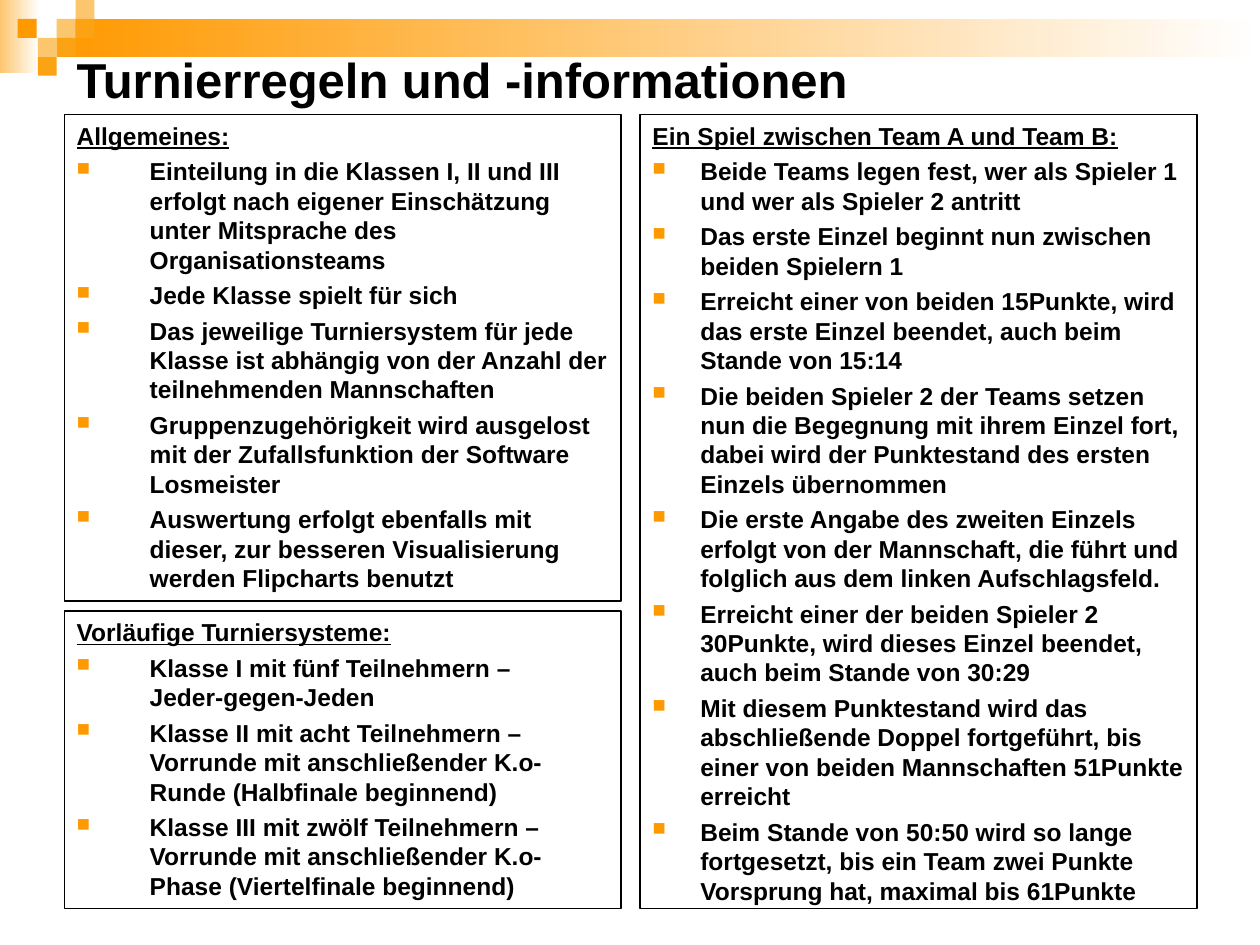
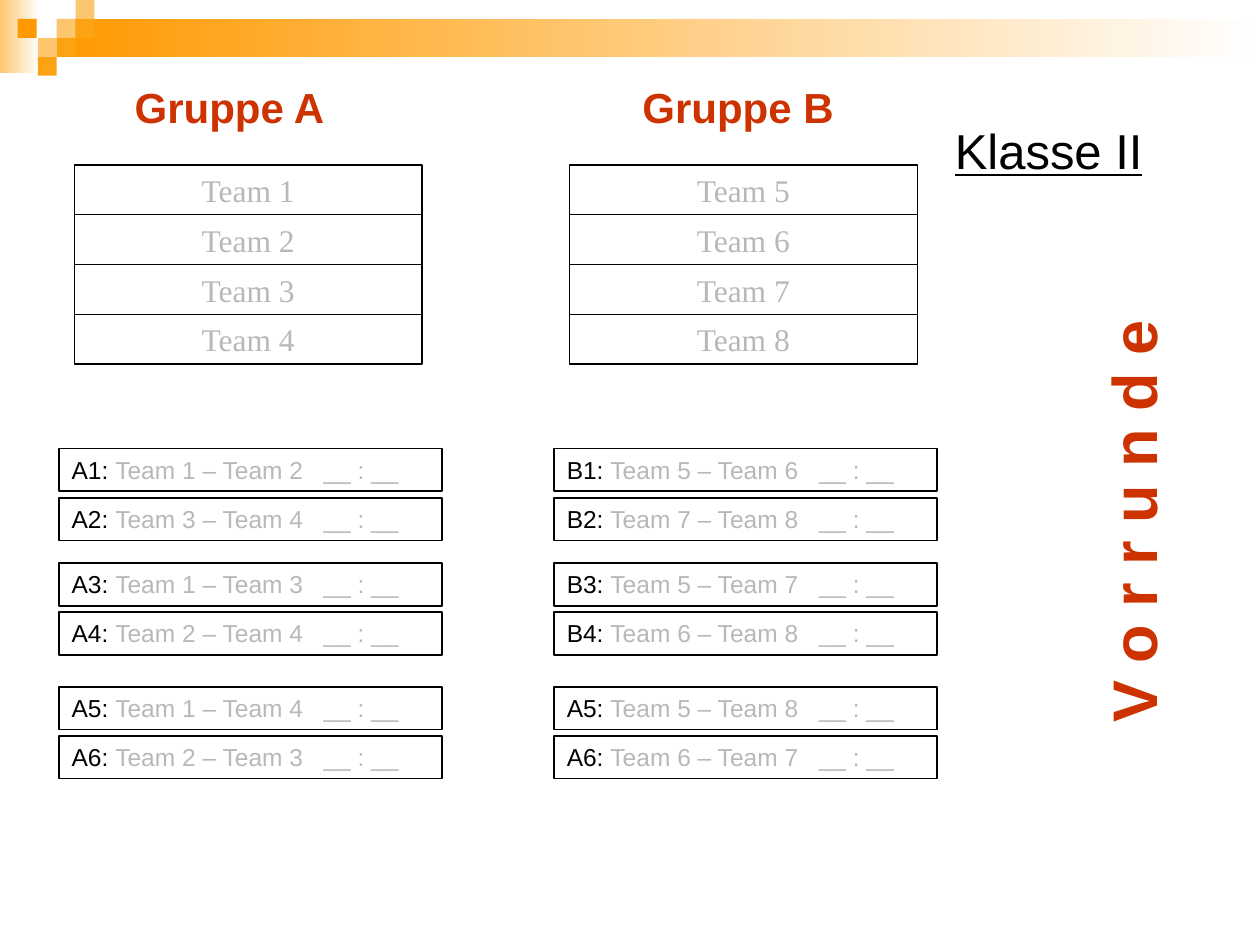
import pptx
import pptx.dml.color
import pptx.enum.shapes
import pptx.enum.text
import pptx.oxml.ns
import pptx.util
from lxml import etree

Inches = pptx.util.Inches
Pt = pptx.util.Pt
qn = pptx.oxml.ns.qn
ALIGN = pptx.enum.text.PP_ALIGN
ANCHOR = pptx.enum.text.MSO_ANCHOR

COLORS = {
    "text": "000000",
    "muted": "B8B8B8",
    "accent": "CC3300",
    "orange": "FF9900",
    "amber": "FBA313",
    "peach": "FCC66E",
    "white": "FFFFFF",
}
SANS, SERIF = "Arial", "Times New Roman"
TILE = 0.15
TILES = [
    (0.45, 0.15, "peach"), (0.6, 0, "peach"), (0.6, 0.15, "amber"),
    (0.3, 0.3, "peach"), (0.14, 0.15, "orange"), (0.45, 0.3, "amber"),
    (0.3, 0.45, "amber"),
]

GENERAL = [
    "Einteilung in die Klassen I, II und III erfolgt nach eigener Einschätzung unter Mitsprache des Organisationsteams",
    "Jede Klasse spielt für sich",
    "Das jeweilige Turniersystem für jede Klasse ist abhängig von der Anzahl der teilnehmenden Mannschaften",
    "Gruppenzugehörigkeit wird ausgelost mit der Zufallsfunktion der Software Losmeister",
    "Auswertung erfolgt ebenfalls mit dieser, zur besseren Visualisierung werden Flipcharts benutzt",
]
GAME = [
    "Beide Teams legen fest, wer als Spieler 1 und wer als Spieler 2 antritt",
    "Das erste Einzel beginnt nun zwischen beiden Spielern 1",
    "Erreicht einer von beiden 15Punkte, wird das erste Einzel beendet, auch beim Stande von 15:14",
    "Die beiden Spieler 2 der Teams setzen nun die Begegnung mit ihrem Einzel fort, dabei wird der Punktestand des ersten Einzels übernommen",
    "Die erste Angabe des zweiten Einzels erfolgt von der Mannschaft, die führt und folglich aus dem linken Aufschlagsfeld.",
    "Erreicht einer der beiden Spieler 2 30Punkte, wird dieses Einzel beendet, auch beim Stande von 30:29",
    "Mit diesem Punktestand wird das abschließende Doppel fortgeführt, bis einer von beiden Mannschaften 51Punkte erreicht",
    "Beim Stande von 50:50 wird so lange fortgesetzt, bis ein Team zwei Punkte Vorsprung hat, maximal bis 61Punkte",
]
SYSTEMS = [
    "Klasse I mit fünf Teilnehmern –\vJeder-gegen-Jeden",
    "Klasse II mit acht Teilnehmern – Vorrunde mit anschließender K.o-Runde (Halbfinale beginnend)",
    "Klasse III mit zwölf Teilnehmern – Vorrunde mit anschließender K.o-Phase (Viertelfinale beginnend)",
]

TEAM_COUNT = 4
TEAM_HEIGHT = 1.58 / TEAM_COUNT
ROW_STEP = 0.39
ROUND_TOPS = [3.56, 4.47, 5.45]
ROUND_PAIRINGS = [[(0, 1), (2, 3)], [(0, 2), (1, 3)], [(0, 3), (1, 2)]]


def rgb(color):
    """Return the named colour as an RGB value."""
    return pptx.dml.color.RGBColor.from_string(COLORS[color])


def style(runs, size, color="text", font=SANS, bold=False, underline=False):
    """Give the runs one font style."""
    for run in runs:
        run.font.name = font
        run.font.size = Pt(size)
        run.font.bold = bold
        run.font.underline = underline
        run.font.color.rgb = rgb(color)


def add_rect(slide, left, top, width, height):
    """Add a rectangle with neither fill, line nor shadow."""
    rect = slide.shapes.add_shape(
        pptx.enum.shapes.MSO_SHAPE.RECTANGLE,
        Inches(left), Inches(top), Inches(width), Inches(height))
    rect.shadow.inherit = False
    rect.fill.background()
    rect.line.fill.background()
    return rect


def add_frame(slide, left, top, width, height, line_width, anchor=ANCHOR.TOP):
    """Add an outlined rectangle and return its text frame."""
    rect = add_rect(slide, left, top, width, height)
    rect.line.color.rgb = rgb("text")
    rect.line.width = Pt(line_width)
    rect.text_frame.word_wrap = True
    rect.text_frame.vertical_anchor = anchor
    rect.text_frame.paragraphs[0].alignment = ALIGN.LEFT
    return rect.text_frame


def add_label(slide, text, left, top, width, height, size, wrap=True, **font):
    """Add a one-line text box and return it."""
    label = slide.shapes.add_textbox(
        Inches(left), Inches(top), Inches(width), Inches(height))
    label.text_frame.word_wrap = wrap
    label.text_frame.text = text
    style(label.text_frame.paragraphs[0].runs, size, **font)
    return label


def add_fade(slide, left, top, width, height, color):
    """Add a band that fades from the colour to white, left to right."""
    band = add_rect(slide, left, top, width, height)
    band.fill.gradient()
    band.fill.gradient_angle = 0
    for stop, stop_color in zip(band.fill.gradient_stops, (color, "white")):
        stop.color.rgb = rgb(stop_color)


def add_banner(slide):
    """Draw the mosaic banner along the top edge."""
    add_fade(slide, 0, 0, 0.31, 0.58, "peach")
    add_fade(slide, 0.45, 0.15, 9.55, 0.3, "orange")
    for left, top, color in TILES:
        tile = add_rect(slide, left, top, TILE, TILE)
        tile.fill.solid()
        tile.fill.fore_color.rgb = rgb(color)


def add_bullet(paragraph, indent):
    """Hang a small orange square in front of the paragraph."""
    properties = paragraph._p.get_or_add_pPr()
    properties.set("marL", str(Inches(indent)))
    properties.set("indent", str(-Inches(indent)))
    bullet_color = etree.SubElement(properties, qn("a:buClr"))
    etree.SubElement(bullet_color, qn("a:srgbClr"), val=COLORS["orange"])
    etree.SubElement(properties, qn("a:buSzPct"), val="75000")
    etree.SubElement(properties, qn("a:buChar"), char="■")


def add_rule_box(slide, left, top, width, height, heading, rules, indent):
    """Add a framed list of rules below an underlined heading."""
    frame = add_frame(slide, left, top, width, height, 0.75)
    frame.text = heading
    style(frame.paragraphs[0].runs, 14, bold=True, underline=True)
    for rule in rules:
        paragraph = frame.add_paragraph()
        paragraph.text = rule
        style(paragraph.runs, 14, bold=True)
        for line_break in paragraph._p.findall(qn("a:br")):
            etree.SubElement(line_break, qn("a:rPr"), sz="1400")
    for paragraph in frame.paragraphs:
        paragraph.alignment = ALIGN.LEFT
        paragraph.space_before = Pt(3.5)
    for paragraph in frame.paragraphs[1:]:
        add_bullet(paragraph, indent)


def add_match(slide, left, top, name, home, guest):
    """Add one match line with room for the score."""
    frame = add_frame(slide, left, top, 3.04, 0.34, 1)
    paragraph = frame.paragraphs[0]
    tabs = etree.SubElement(paragraph._p.get_or_add_pPr(), qn("a:tabLst"))
    etree.SubElement(tabs, qn("a:tab"), pos=str(Inches(2)), algn="l")
    match_name, pairing = paragraph.add_run(), paragraph.add_run()
    match_name.text = f"{name}: "
    pairing.text = f"{home} – {guest}\t__ : __"
    style([match_name], 14)
    style([pairing], 14, "muted")


def add_group(slide, left, heading, heading_indent, first_team, match_names):
    """Add a group: heading, its four teams and its six matches."""
    title = add_label(slide, heading, left + heading_indent, 0.6, 1.91, 0.65, 24,
                      color="accent", bold=True)
    title.text_frame.paragraphs[0].space_before = Pt(6)

    teams = [f"Team {first_team + place}" for place in range(TEAM_COUNT)]
    for place, team in enumerate(teams):
        frame = add_frame(slide, left + 0.12, 1.31 + place * TEAM_HEIGHT,
                          2.76, TEAM_HEIGHT, 0.75, ANCHOR.MIDDLE)
        frame.text = team
        frame.paragraphs[0].alignment = ALIGN.CENTER
        style(frame.paragraphs[0].runs, 18, "muted", SERIF)

    names = iter(match_names)
    for top, pairings in zip(ROUND_TOPS, ROUND_PAIRINGS):
        for row, (home, guest) in enumerate(pairings):
            add_match(slide, left, top + row * ROW_STEP, next(names),
                      teams[home], teams[guest])


def build_rules_slide(slide):
    """Build the slide with the tournament rules."""
    add_banner(slide)
    title = add_label(slide, "Turnierregeln und -informationen",
                      0.51, 0.36, 9, 0.54, 28, bold=True)
    title.text_frame.vertical_anchor = ANCHOR.MIDDLE
    add_rule_box(slide, 0.51, 0.91, 4.42, 3.86, "Allgemeines:", GENERAL, 0.58)
    add_rule_box(slide, 5.08, 0.91, 4.42, 6.3,
                 "Ein Spiel zwischen Team A und Team B:", GAME, 0.38)
    add_rule_box(slide, 0.51, 4.85, 4.42, 2.36,
                 "Vorläufige Turniersysteme:", SYSTEMS, 0.58)


def build_groups_slide(slide):
    """Build the slide with the preliminary round of class II."""
    add_banner(slide)
    add_group(slide, 0.47, "Gruppe A", 0.5, 1, ["A1", "A2", "A3", "A4", "A5", "A6"])
    add_group(slide, 4.4, "Gruppe B", 0.6, 5, ["B1", "B2", "B3", "B4", "A5", "A6"])
    add_label(slide, "Klasse II", 7.48, 0.91, 1.69, 0.57, 28,
              wrap=False, underline=True)
    stage = add_label(slide, "V o r r u n d e", 6.78, 3.79, 4.41, 0.7, 36,
                      color="accent", bold=True)
    stage.text_frame.paragraphs[0].alignment = ALIGN.CENTER
    stage.rotation = 270


def main():
    """Build and save the presentation."""
    deck = pptx.Presentation()
    deck.slide_width, deck.slide_height = Inches(10), Inches(7.5)
    for build in (build_rules_slide, build_groups_slide):
        build(deck.slides.add_slide(deck.slide_layouts[6]))
    deck.save("out.pptx")


if __name__ == "__main__":
    main()
